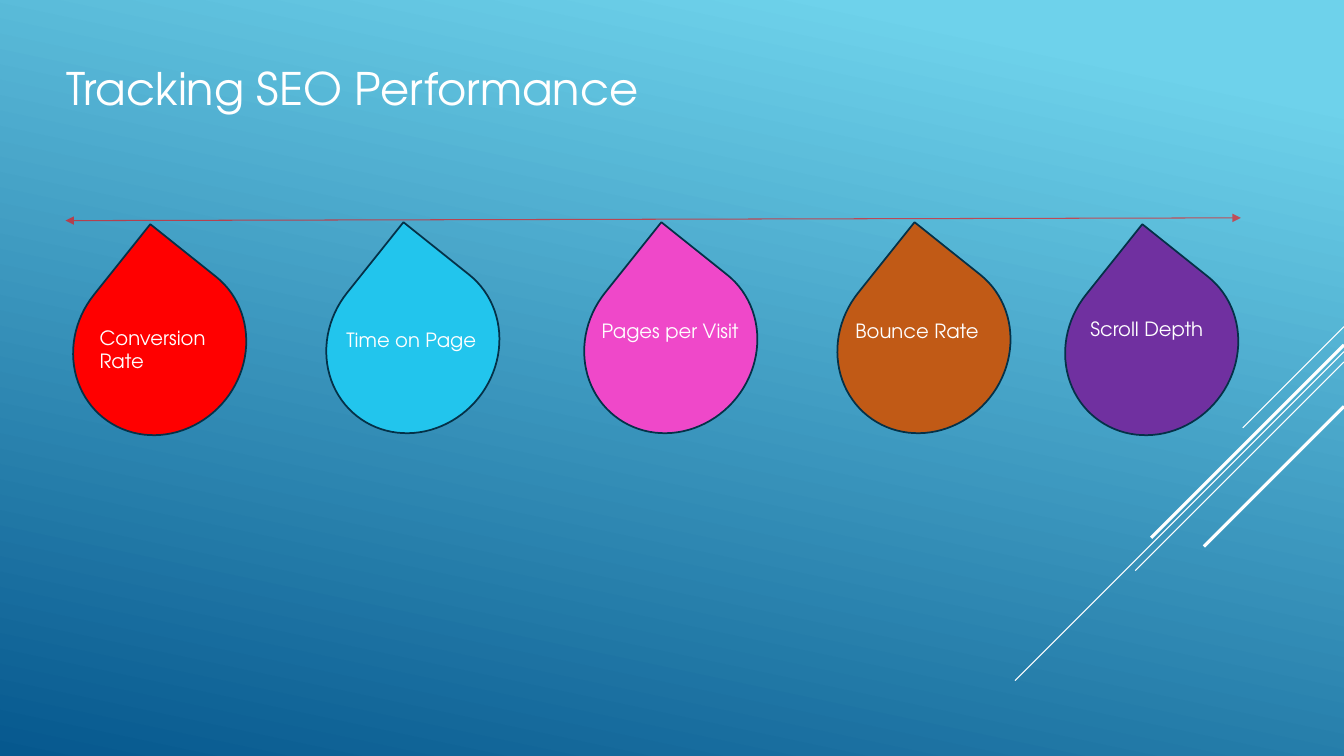
from dataclasses import dataclass

import pptx
import pptx.dml.color
import pptx.enum.shapes
import pptx.enum.text
import pptx.oxml.ns
import pptx.util
from lxml import etree
from pptx.util import Cm


@dataclass(frozen=True)
class Theme:
    font: str = "TeX Gyre Adventor"
    title_size: int = 32
    label_size: int = 14
    text: str = "FFFFFF"
    sky_light: str = "6ED2EB"
    sky_dark: str = "06588E"
    drop_outline: str = "043148"
    timeline: str = "FF0000"


THEME = Theme()
SLIDE_WIDTH, SLIDE_HEIGHT = 33.87, 19.05
DROP_WIDTH, DROP_HEIGHT, DROP_ROTATION = 4.55, 4.24, 308.6

# Diagonal stripes: height on the right edge, run to the left, line width
STRIPES = [
    (8.23, 2.55, 0.75),
    (8.86, 8.29, 0.75),
    (9.12, 5.26, 0.75),
    (8.69, 4.86, 2.25),
    (10.24, 3.53, 2.25),
]

# Metrics: label, colour, drop left and top, label left, top, width and height
METRICS = [
    ("Conversion Rate", "FF0000", (1.75, 6.63), (2.26, 8.08, 3.78, 1.45)),
    ("Time on Page", "22C5ED", (8.13, 6.58), (8.48, 8.13, 3.96, 0.86)),
    ("Pages per Visit", "EF48C9", (14.63, 6.58), (14.91, 7.92, 3.96, 0.86)),
    ("Bounce Rate", "C15A16", (21.01, 6.58), (21.31, 7.9, 3.96, 0.86)),
    ("Scroll Depth", "7030A0", (26.75, 6.63), (27.23, 7.87, 3.96, 0.86)),
]


def rgb(value):
    return pptx.dml.color.RGBColor.from_string(value)


def add_child(parent, tag, **attributes):
    return etree.SubElement(parent, pptx.oxml.ns.qn(tag), attributes)


def paint_background(slide):
    fill = slide.background.fill
    fill.gradient()
    fill.gradient_angle = 258
    stops = ((0.1, THEME.sky_light), (1, THEME.sky_dark))
    for stop, (position, color) in zip(fill.gradient_stops, stops):
        stop.position = position
        stop.color.rgb = rgb(color)


def add_line(slide, start, end, color, width):
    line = slide.shapes.add_connector(
        pptx.enum.shapes.MSO_CONNECTOR.STRAIGHT,
        *(Cm(value) for value in (*start, *end)))
    line.line.color.rgb = rgb(color)
    line.line.width = pptx.util.Pt(width)
    add_child(line.element.spPr, "a:effectLst")
    return line


def add_timeline(slide, start, end):
    timeline = add_line(slide, start, end, THEME.timeline, 0.75)
    outline = timeline.line._get_or_add_ln()
    color = outline.find(".//" + pptx.oxml.ns.qn("a:srgbClr"))
    add_child(color, "a:alpha", val="60000")
    for arrowhead in ("a:headEnd", "a:tailEnd"):
        add_child(outline, arrowhead, type="triangle")


def add_drop(slide, position, color):
    drop = slide.shapes.add_shape(
        pptx.enum.shapes.MSO_SHAPE.TEAR,
        *(Cm(value) for value in (*position, DROP_WIDTH, DROP_HEIGHT)))
    drop.rotation = DROP_ROTATION
    drop.shadow.inherit = False
    drop.fill.solid()
    drop.fill.fore_color.rgb = rgb(color)
    drop.line.color.rgb = rgb(THEME.drop_outline)
    drop.line.width = pptx.util.Pt(1.25)


def add_text(slide, text, box, size):
    frame = slide.shapes.add_textbox(*(Cm(value) for value in box)).text_frame
    frame.word_wrap = True
    paragraph = frame.paragraphs[0]
    paragraph.text = text
    paragraph.font.name = THEME.font
    paragraph.font.size = pptx.util.Pt(size)
    paragraph.font.color.rgb = rgb(THEME.text)
    return frame


def main():
    deck = pptx.Presentation()
    deck.slide_width, deck.slide_height = Cm(SLIDE_WIDTH), Cm(SLIDE_HEIGHT)
    slide = deck.slides.add_slide(deck.slide_layouts[6])

    # Backdrop with 45-degree stripes
    paint_background(slide)
    for height, run, width in STRIPES:
        add_line(slide, (SLIDE_WIDTH, height),
                 (SLIDE_WIDTH - run, height + run), THEME.text, width)

    # Title
    title = add_text(slide, "Tracking SEO Performance",
                     (1.42, 0.99, 28.47, 2.44), THEME.title_size)
    title.vertical_anchor = pptx.enum.text.MSO_ANCHOR.MIDDLE

    # Drops hanging from the timeline
    for _, color, position, _ in METRICS:
        add_drop(slide, position, color)
    add_timeline(slide, (1.65, 5.56), (31.27, 5.49))

    # Metric labels
    for text, _, _, box in METRICS:
        label = add_text(slide, text, box, THEME.label_size)
        label.auto_size = pptx.enum.text.MSO_AUTO_SIZE.SHAPE_TO_FIT_TEXT

    deck.save("out.pptx")


if __name__ == "__main__":
    main()
